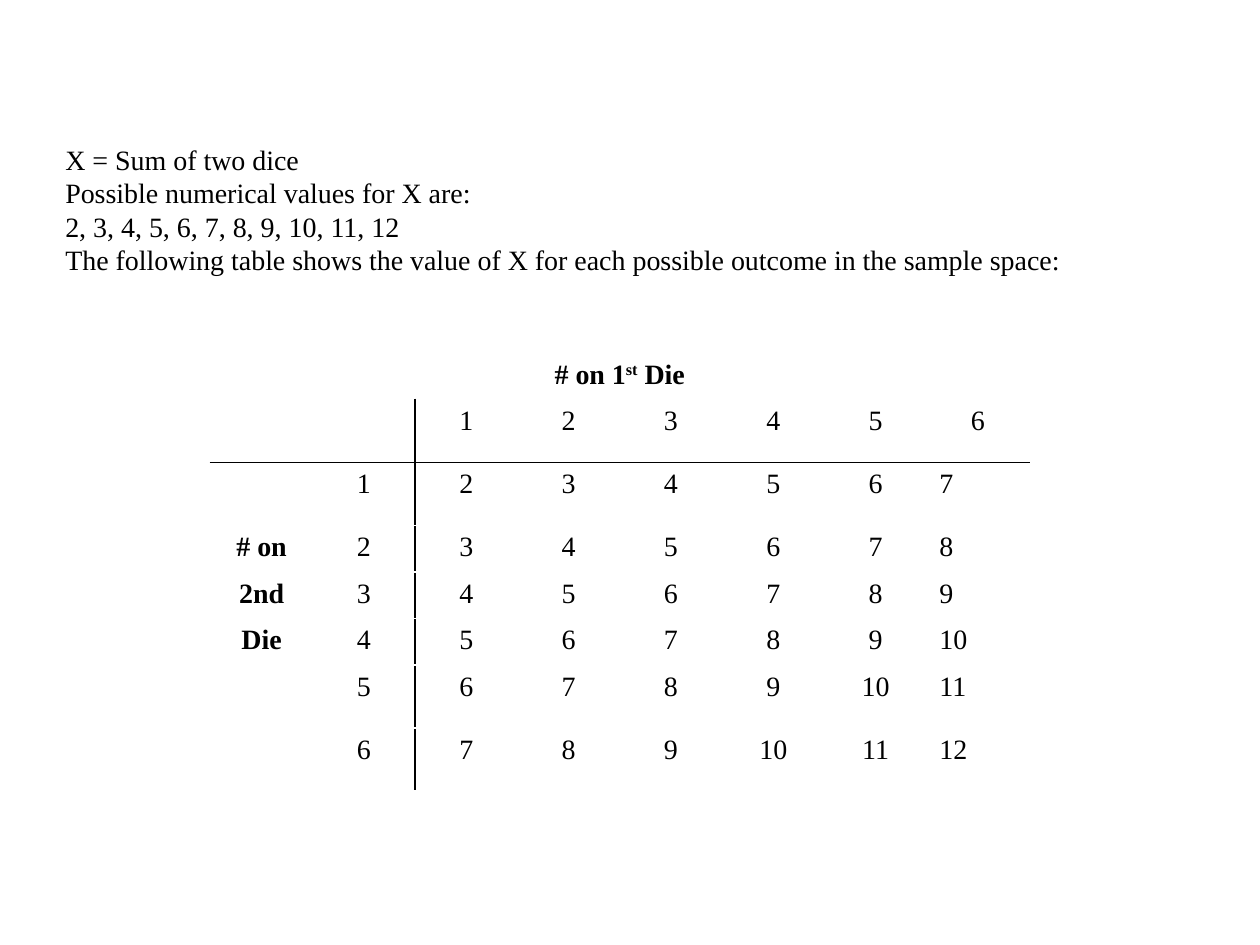
import pptx
import pptx.dml.color
import pptx.enum.text
import pptx.oxml.ns
import pptx.util
from lxml import etree

Inches = pptx.util.Inches
Pt = pptx.util.Pt
ALIGN = pptx.enum.text.PP_ALIGN
COLORS = {"text": "000000", "rule": "000000"}
FONT = "Times New Roman"
SIZE = 16

INTRO = [
    "X = Sum of two dice",
    "Possible numerical values for X are:",
    "2, 3, 4, 5, 6, 7, 8, 9, 10, 11, 12",
    "The following table shows the value of X for each possible outcome in the sample space:",
]
SIDE_LABELS = {3: "# on", 4: "2nd", 5: "Die"}
FACES = range(1, 7)
ROW_HEIGHTS = [0.37, 0.5, 0.5, 0.37, 0.37, 0.37, 0.5, 0.5]
TABLE_WIDTH = 6.5


def format_span(span, bold=False):
    span.font.name = FONT
    span.font.size = Pt(SIZE)
    span.font.bold = bold
    span.font.color.rgb = pptx.dml.color.RGBColor.from_string(COLORS["text"])


def add_intro(page):
    box = page.shapes.add_textbox(Inches(0.42), Inches(1.08), Inches(8.83), Inches(1.57))
    frame = box.text_frame
    frame.word_wrap = True
    frame.text = "\n".join(INTRO)
    for para in frame.paragraphs:
        format_span(para.runs[0])


def write_cell(cell, text, bold=False, align=ALIGN.CENTER):
    para = cell.text_frame.paragraphs[0]
    para.text = text
    para.alignment = align
    format_span(para.runs[0], bold)


def add_border(cell, side):
    properties = cell._tc.get_or_add_tcPr()
    line = etree.SubElement(properties, pptx.oxml.ns.qn("a:ln" + side), w=str(Pt(1)))
    fill = etree.SubElement(line, pptx.oxml.ns.qn("a:solidFill"))
    etree.SubElement(fill, pptx.oxml.ns.qn("a:srgbClr"), val=COLORS["rule"])


def style_cell(cell, row, column):
    # Rules below the header row and right of the second-die column
    rules = {
        "L": row > 0 and column == 2,
        "R": row > 0 and column == 1,
        "T": row == 2,
        "B": row == 1,
    }
    for side, wanted in rules.items():
        if wanted:
            add_border(cell, side)
    cell.fill.background()


def write_heading(table):
    table.cell(0, 0).merge(table.cell(0, 7))
    para = table.cell(0, 0).text_frame.paragraphs[0]
    para.alignment = ALIGN.CENTER
    for text in ("# on 1", "st", " Die"):
        span = para.add_run()
        span.text = text
        format_span(span, bold=True)
    # Raise the ordinal suffix
    para.runs[1].font._element.set("baseline", "30000")


def add_dice_table(page):
    table = page.shapes.add_table(
        len(ROW_HEIGHTS), 8, Inches(1.67), Inches(2.8),
        Inches(TABLE_WIDTH), Inches(sum(ROW_HEIGHTS))).table
    table.first_row = False
    table.horz_banding = False
    for column in table.columns:
        column.width = Inches(TABLE_WIDTH / 8)
    for row, height in zip(table.rows, ROW_HEIGHTS):
        row.height = Inches(height)
    for row in range(8):
        for column in range(8):
            style_cell(table.cell(row, column), row, column)

    # Headings and side label
    write_heading(table)
    for row, text in SIDE_LABELS.items():
        write_cell(table.cell(row, 0), text, bold=True)

    # Faces of each die and their sums
    for first in FACES:
        write_cell(table.cell(1, first + 1), str(first))
        write_cell(table.cell(first + 1, 1), str(first))
        align = ALIGN.LEFT if first == 6 else ALIGN.CENTER
        for second in FACES:
            write_cell(table.cell(second + 1, first + 1), str(first + second), align=align)


def main():
    deck = pptx.Presentation()
    deck.slide_width = Inches(10)
    deck.slide_height = Inches(7.5)
    page = deck.slides.add_slide(deck.slide_layouts[6])
    add_intro(page)
    add_dice_table(page)
    deck.save("out.pptx")


if __name__ == "__main__":
    main()
